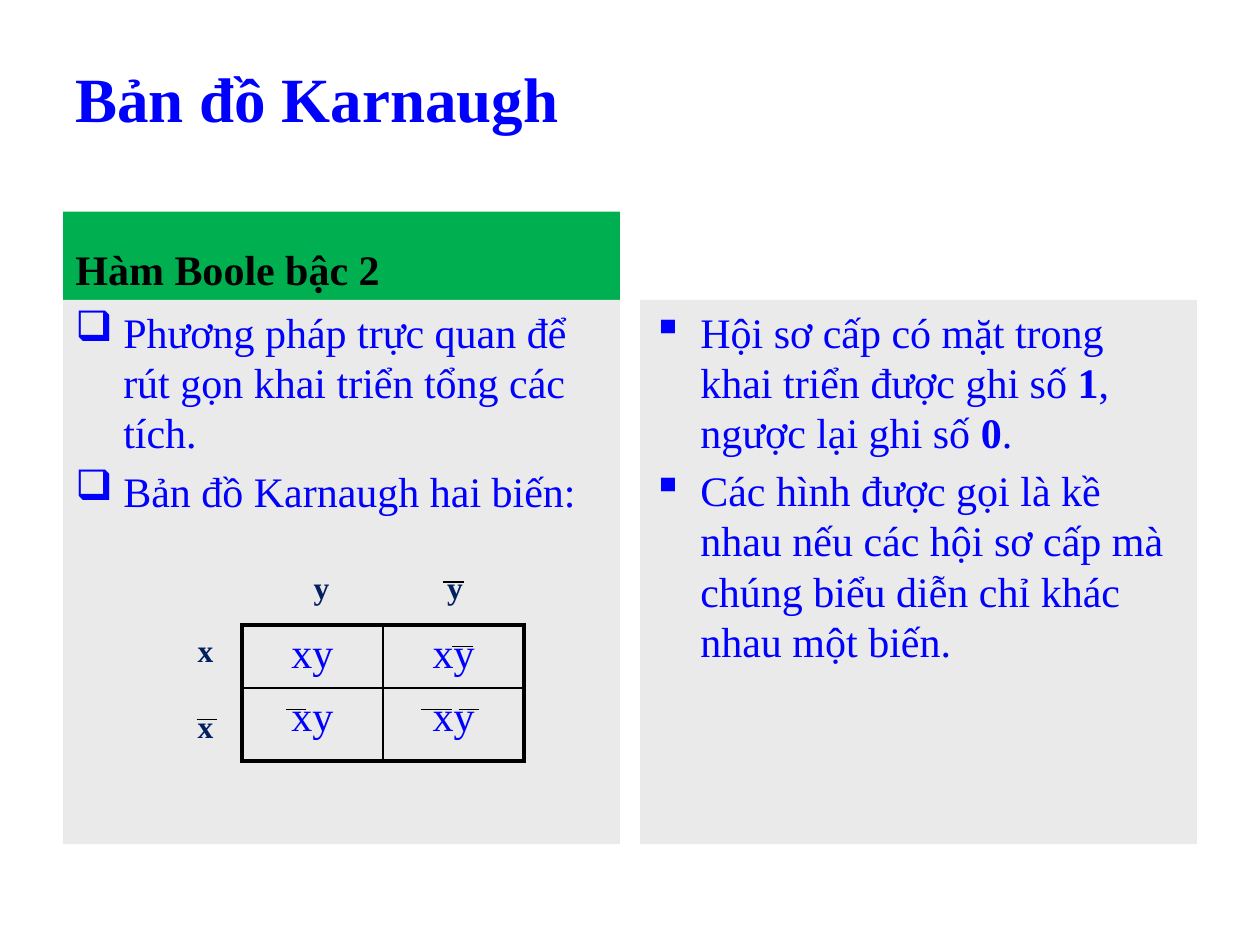
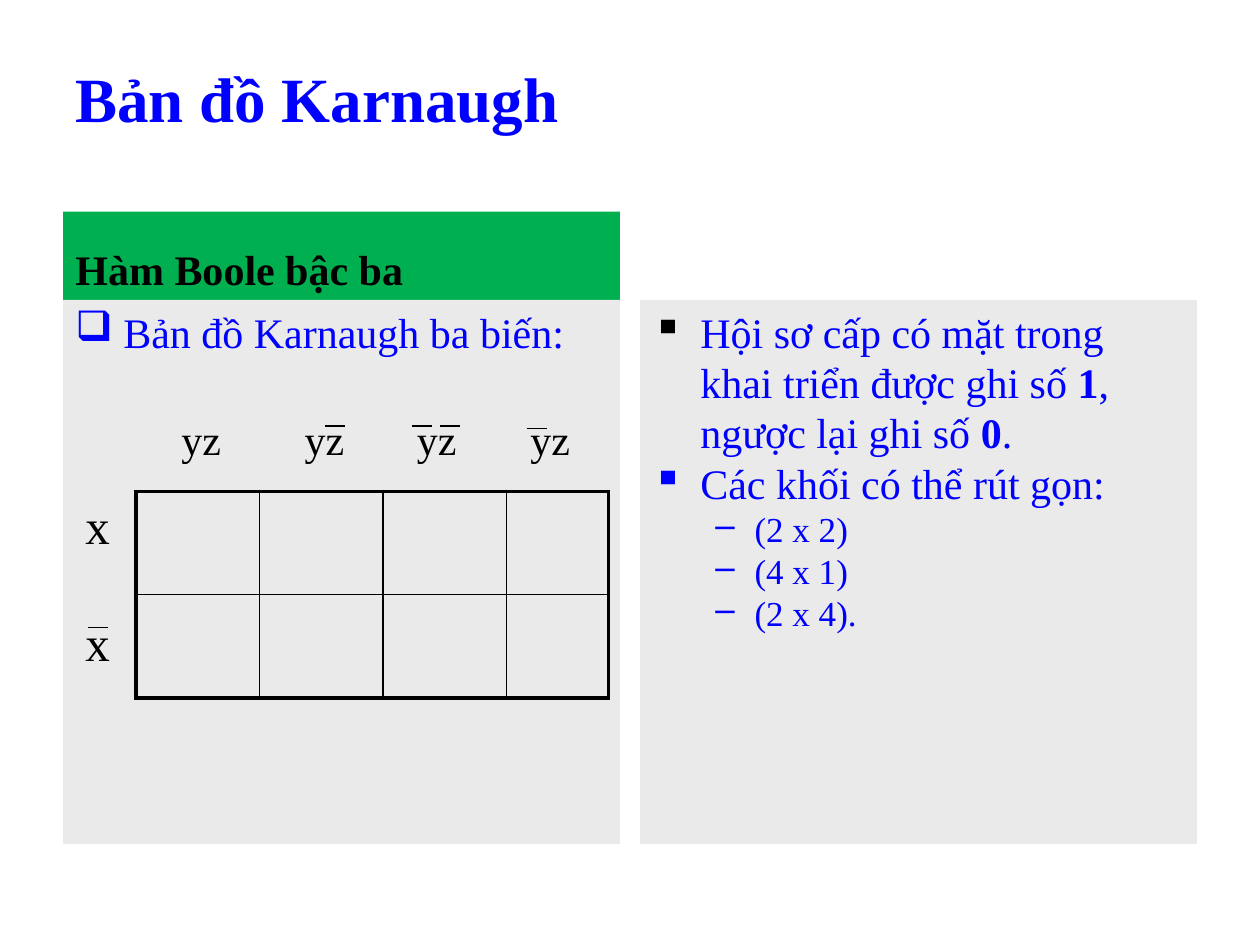
import pptx
import pptx.util
import pptx.dml.color
import pptx.enum.shapes
import pptx.enum.text
import pptx.oxml.ns
from lxml import etree

Inches, Pt = pptx.util.Inches, pptx.util.Pt
ANCHOR = pptx.enum.text.MSO_ANCHOR
CENTER = pptx.enum.text.PP_ALIGN.CENTER

FONT = "Times New Roman"
BLUE, BLACK, NAVY = "0000FF", "000000", "002060"
GREEN, GREY = "00B050", "EAEAEA"
LINE_HEIGHT = 1.2
BAR = 0.16

TITLE_AT = (0.5, 0.3, 9, 0.95)
HEADING_AT = (0.5, 1.68, 4.42, 0.7)
LEFT_AT = (0.5, 2.38, 4.42, 4.32)
RIGHT_AT = (5.08, 2.38, 4.42, 4.32)

# Bullet styles: character, text indent, hanging, size, level
BOX = ("❑", 0.38, 0.38, 24, 0)
SQUARE = ("▪", 0.38, 0.38, 24, 0)
DASH = ("–", 0.81, 0.31, 20, 1)

# Bullet items: style, runs that alternate regular and bold, bullet colour
MINTERMS = ["Hội sơ cấp có mặt trong khai triển được ghi số ", "1",
            ", ngược lại ghi số ", "0", "."]

SLIDES = [
    {
        "title": "Bản đồ Karnaugh",
        "heading": "Hàm Boole bậc 2",
        "left": [
            (BOX, ["Phương pháp trực quan để rút gọn khai triển tổng các tích."], BLUE),
            (BOX, ["Bản đồ Karnaugh hai biến:"], BLUE),
        ],
        "left_gap": 4.8,
        "right": [
            (SQUARE, MINTERMS, BLUE),
            (SQUARE, ["Các hình được gọi là kề nhau nếu các hội sơ cấp mà "
                      "chúng biểu diễn chỉ khác nhau một biến."], BLUE),
        ],
        "right_gap": 4,
        "map": {
            "at": (1.92, 4.96),
            "cols": [1.12, 1.12],
            "rows": [0.5, 0.58],
            "cells": [["xy", "xy"], ["xy", "xy"]],
        },
        "row_labels": {"at": (1.47, 4.96, 0.5, 1.01), "names": ["x", "x"], "size": 18},
        "col_labels": {"at": (2.39, 4.46, 1.58, 0.4), "names": ["y", "y"],
                       "tabs": [1.06], "size": 18},
        "label_color": NAVY,
        "label_bold": True,
        # Negation bars: left, top, length
        "bars": [(3.34, 5.63, 0.25), (3.64, 5.63, BAR), (3.59, 5.13, BAR),
                 (2.27, 5.63, BAR), (1.56, 5.71, BAR), (3.52, 4.62, BAR)],
    },
    {
        "title": "Bản đồ Karnaugh",
        "heading": "Hàm Boole bậc ba",
        "left": [(BOX, ["Bản đồ Karnaugh ba biến:"], BLUE)],
        "left_gap": 0,
        "right": [
            (SQUARE, MINTERMS, BLACK),
            (SQUARE, ["Các khối có thể rút gọn:"], BLUE),
            (DASH, ["(2 x 2)"], BLUE),
            (DASH, ["(4 x 1)"], BLUE),
            (DASH, ["(2 x 4)."], BLUE),
        ],
        "right_gap": 0,
        "map": {
            "at": (1.08, 3.9),
            "cols": [0.98, 0.98, 0.98, 0.81],
            "rows": [0.82, 0.82],
            "cells": [[""] * 4] * 2,
        },
        "row_labels": {"at": (0.58, 3.88, 0.67, 1.51), "names": ["x", "x"], "size": 28},
        "col_labels": {"at": (1.34, 3.23, 3.42, 0.51), "names": ["yz"] * 4,
                       "tabs": [0.98, 1.87, 2.77], "size": 24},
        "label_color": BLACK,
        "label_bold": False,
        "bars": [(2.58, 3.38, BAR), (3.27, 3.38, BAR), (3.49, 3.38, BAR),
                 (4.18, 3.4, BAR), (0.7, 4.98, BAR)],
    },
]


def rgb(color):
    return pptx.dml.color.RGBColor.from_string(color)


def sub(parent, tag, **attributes):
    element = etree.SubElement(parent, pptx.oxml.ns.qn(tag))
    for key, value in attributes.items():
        element.set(key, str(value))
    return element


def format_runs(paragraph, size, color, bold=False):
    for run in paragraph.runs:
        run.font.name = FONT
        run.font.size = Pt(size)
        run.font.bold = bold
        run.font.color.rgb = rgb(color)


def add_box(slide, at, fill=None, anchor=ANCHOR.TOP):
    """Add a text area, on a filled rectangle if a fill is given; return its frame."""
    area = [Inches(length) for length in at]
    if fill:
        box = slide.shapes.add_shape(pptx.enum.shapes.MSO_SHAPE.RECTANGLE, *area)
        box.shadow.inherit = False
        box.fill.solid()
        box.fill.fore_color.rgb = rgb(fill)
        box.line.fill.background()
    else:
        box = slide.shapes.add_textbox(*area)
    frame = box.text_frame
    frame.word_wrap = True
    frame.vertical_anchor = anchor
    frame.paragraphs[0].alignment = pptx.enum.text.PP_ALIGN.LEFT
    return frame


def add_line_of_text(slide, at, text, size, color, **box_style):
    paragraph = add_box(slide, at, **box_style).paragraphs[0]
    paragraph.text = text
    format_runs(paragraph, size, color, bold=True)


def next_paragraph(frame, index, gap):
    if index == 0:
        return frame.paragraphs[0]
    paragraph = frame.add_paragraph()
    paragraph.alignment = pptx.enum.text.PP_ALIGN.LEFT
    paragraph.space_before = Pt(gap)
    return paragraph


def add_bullets(slide, at, items, gap):
    frame = add_box(slide, at, fill=GREY)
    for index, (style, texts, bullet_color) in enumerate(items):
        char, indent, hanging, size, level = style
        paragraph = next_paragraph(frame, index, gap)
        paragraph.level = level
        properties = paragraph._p.get_or_add_pPr()
        properties.set("marL", str(Inches(indent)))
        properties.set("indent", str(-Inches(hanging)))
        sub(sub(properties, "a:buClr"), "a:srgbClr", val=bullet_color)
        sub(properties, "a:buChar", char=char)
        for text in texts:
            paragraph.add_run().text = text
        format_runs(paragraph, size, BLUE)
        for strong in paragraph.runs[1::2]:
            strong.font.bold = True


def set_borders(cell, widths):
    """Widths are in points, in the order left, right, top, bottom."""
    properties = cell._tc.get_or_add_tcPr()
    for position, (side, width) in enumerate(zip("LRTB", widths)):
        border = sub(properties, "a:ln" + side, w=Pt(width))
        sub(sub(border, "a:solidFill"), "a:srgbClr", val=BLACK)
        properties.insert(position, border)


def add_map(slide, at, cols, rows, cells):
    left, top = at
    table = slide.shapes.add_table(
        len(rows), len(cols), Inches(left), Inches(top),
        Inches(sum(cols)), Inches(sum(rows))).table
    table.first_row = table.horz_banding = False
    for column, width in zip(table.columns, cols):
        column.width = Inches(width)
    for row, height in zip(table.rows, rows):
        row.height = Inches(height)
    for r, terms in enumerate(cells):
        for c, term in enumerate(terms):
            cell = table.cell(r, c)
            cell.fill.background()
            outer = (c == 0, c == len(cols) - 1, r == 0, r == len(rows) - 1)
            set_borders(cell, [2.25 if edge else 1 for edge in outer])
            if term:
                paragraph = cell.text_frame.paragraphs[0]
                paragraph.text = term
                paragraph.alignment = CENTER
                format_runs(paragraph, 24, BLUE)


def add_row_labels(slide, color, bold, at, names, size):
    frame = add_box(slide, at)
    for index, name in enumerate(names):
        paragraph = next_paragraph(frame, index, size * LINE_HEIGHT)
        paragraph.text = name
        format_runs(paragraph, size, color, bold)


def add_col_labels(slide, color, bold, at, names, tabs, size):
    paragraph = add_box(slide, at).paragraphs[0]
    stops = sub(paragraph._p.get_or_add_pPr(), "a:tabLst")
    for tab in tabs:
        sub(stops, "a:tab", pos=Inches(tab), algn="l")
    paragraph.text = "\t".join(names)
    format_runs(paragraph, size, color, bold)


def add_bar(slide, left, top, length):
    bar = slide.shapes.add_connector(
        pptx.enum.shapes.MSO_CONNECTOR.STRAIGHT,
        Inches(left), Inches(top), Inches(left + length), Inches(top))
    bar.line.width = Pt(0.75)
    bar.line.color.rgb = rgb(BLACK)
    sub(bar._element.spPr, "a:effectLst")


def build_slide(deck, content):
    slide = deck.slides.add_slide(deck.slide_layouts[6])
    add_line_of_text(slide, TITLE_AT, content["title"], 36, BLUE, anchor=ANCHOR.MIDDLE)
    add_line_of_text(slide, HEADING_AT, content["heading"], 24, BLACK,
                     fill=GREEN, anchor=ANCHOR.BOTTOM)
    add_bullets(slide, LEFT_AT, content["left"], content["left_gap"])
    add_bullets(slide, RIGHT_AT, content["right"], content["right_gap"])
    add_map(slide, **content["map"])
    label_style = content["label_color"], content["label_bold"]
    add_row_labels(slide, *label_style, **content["row_labels"])
    add_col_labels(slide, *label_style, **content["col_labels"])
    for bar in content["bars"]:
        add_bar(slide, *bar)


def main():
    deck = pptx.Presentation()
    deck.slide_width, deck.slide_height = Inches(10), Inches(7.5)
    for content in SLIDES:
        build_slide(deck, content)
    deck.save("out.pptx")


if __name__ == "__main__":
    main()
